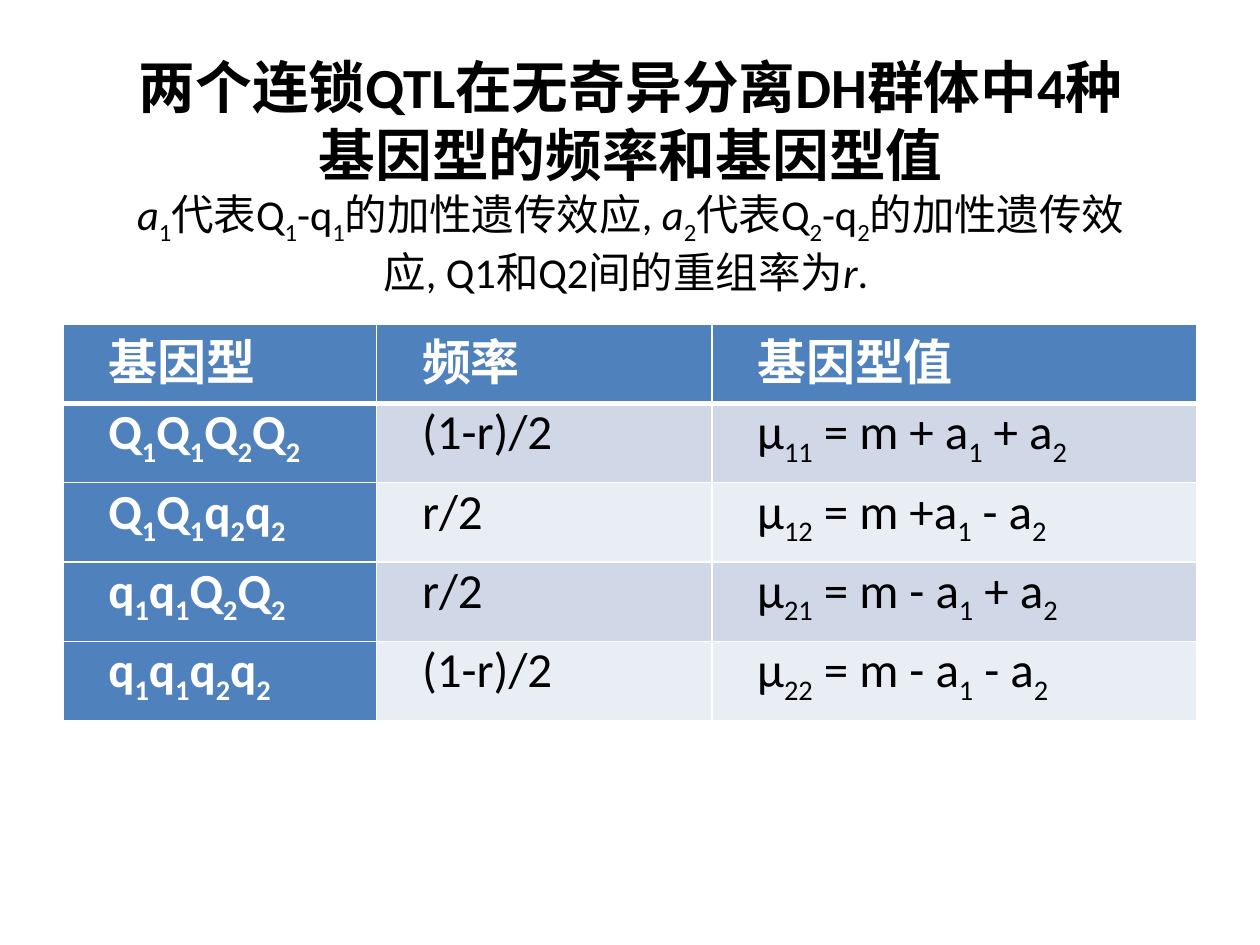
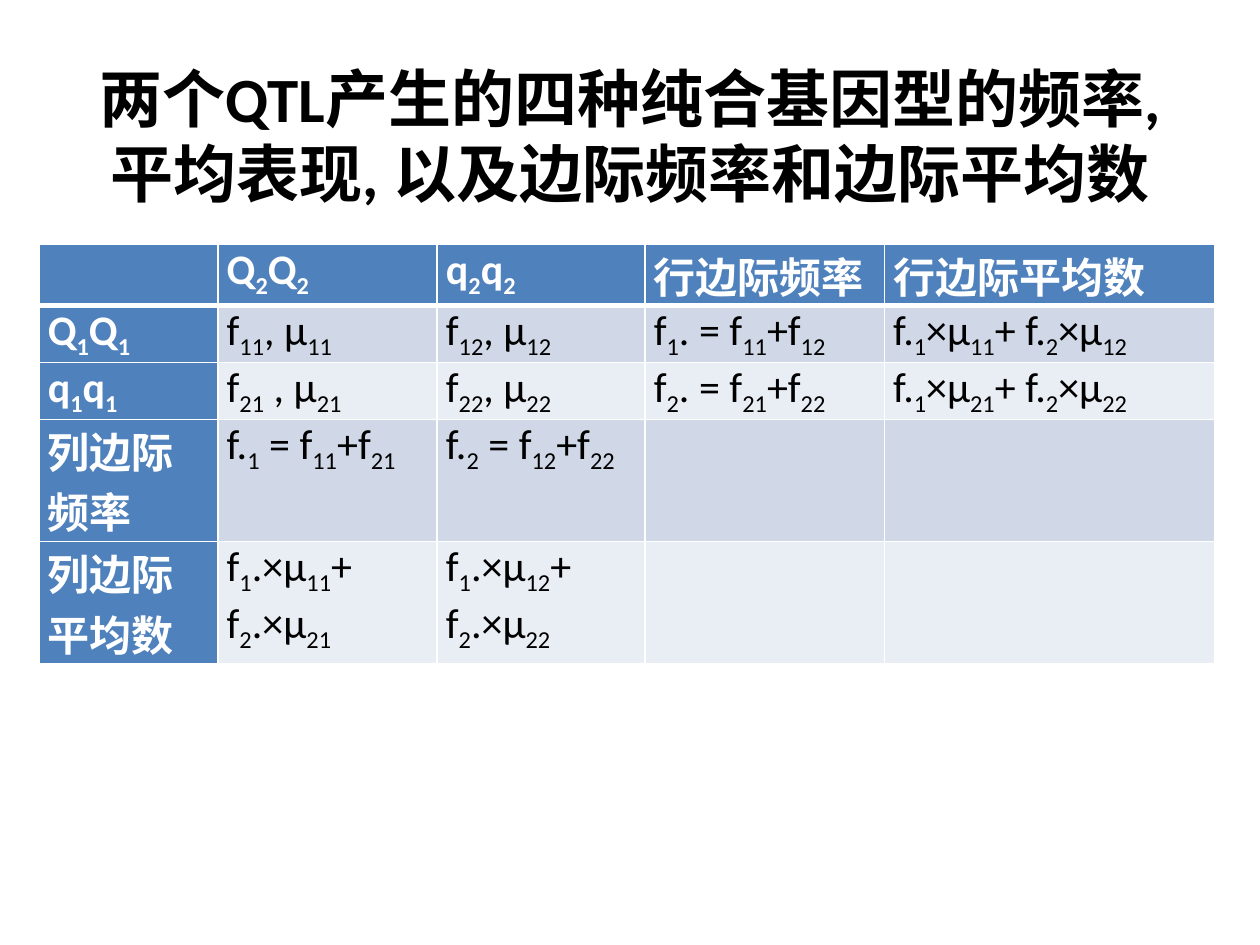
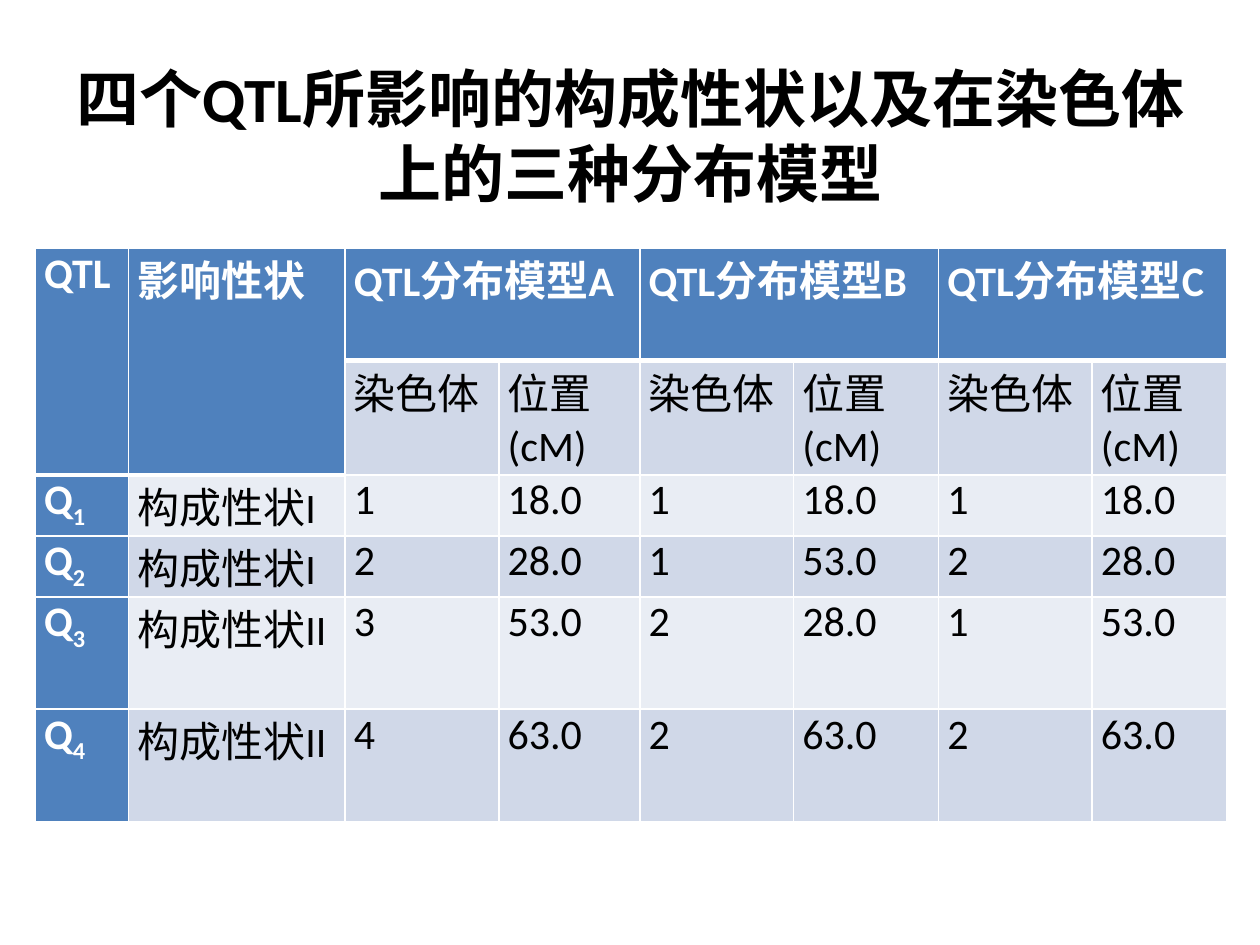
from dataclasses import dataclass

from lxml.etree import SubElement
from pptx import Presentation
from pptx.dml.color import RGBColor
from pptx.enum.text import MSO_ANCHOR, MSO_AUTO_SIZE, PP_ALIGN
from pptx.oxml.ns import qn
from pptx.util import Inches, Pt

FONT = "Calibri"
COLORS = {
    "text": "000000",
    "white": "FFFFFF",
    "head": "4F81BD",
    "odd": "D0D8E8",
    "even": "E9EDF4",
}


@dataclass
class TitleLine:
    text: str
    size: float = 36
    bold: bool = True


@dataclass
class TableSlide:
    title_box: tuple[float, float, float, float]
    title: list[TitleLine]
    table_at: tuple[float, float]
    cols: list[float]
    rows: list[float]
    cells: list[list[str]]
    size: float = 24
    indent: float = 0
    merges: tuple[tuple[int, int, int, int], ...] = ()  # row, column, last row, last column


# Text: ~ encloses a subscript, * encloses italics
def add_text(p, text: str, *, size: float, color: str = "text", bold: bool = False,
             east_asian: str = "") -> None:
    for i, part in enumerate(text.split("~")):
        for j, chunk in enumerate(part.split("*")):
            if not chunk:
                continue
            r = p.add_run()
            r.text = chunk
            r.font.size = Pt(size)
            r.font.bold = bold
            r.font.italic = j % 2 == 1
            r.font.color.rgb = RGBColor.from_string(COLORS[color])
            r.font.name = FONT
            r_pr = r.font._element
            if i % 2:
                r_pr.set("baseline", "-25000")
            if east_asian:
                SubElement(r_pr, qn("a:ea"), typeface=east_asian)


def add_title(s, box: tuple[float, ...], lines: list[TitleLine]) -> None:
    sp = s.shapes.title
    sp.left, sp.top, sp.width, sp.height = map(Inches, box)
    tf = sp.text_frame
    tf.word_wrap = True
    tf.auto_size = MSO_AUTO_SIZE.NONE
    tf.vertical_anchor = MSO_ANCHOR.MIDDLE
    for i, line in enumerate(lines):
        p = tf.add_paragraph() if i else tf.paragraphs[0]
        p.alignment = PP_ALIGN.CENTER
        add_text(p, line.text, size=line.size, bold=line.bold, east_asian=FONT)


def set_borders(cell, top: float, bottom: float) -> None:
    tc_pr = cell._tc.get_or_add_tcPr()
    for side, width in (("L", 1), ("R", 1), ("T", top), ("B", bottom)):
        ln = SubElement(tc_pr, qn(f"a:ln{side}"), w=str(Pt(width)))
        fill = SubElement(ln, qn("a:solidFill"))
        SubElement(fill, qn("a:srgbClr"), val=COLORS["white"])


def format_cell(cell, fill: str, top: float, bottom: float) -> None:
    cell.margin_left = cell.margin_right = Inches(0.07)
    cell.margin_top = cell.margin_bottom = 0
    cell.vertical_anchor = MSO_ANCHOR.TOP
    set_borders(cell, top, bottom)
    cell.fill.solid()
    cell.fill.fore_color.rgb = RGBColor.from_string(COLORS[fill])


def add_table(s, spec: TableSlide) -> None:
    left, top = map(Inches, spec.table_at)
    frame = s.shapes.add_table(len(spec.rows), len(spec.cols), left, top,
                               Inches(sum(spec.cols)), Inches(sum(spec.rows)))
    table = frame.table
    table.first_row = table.horz_banding = False
    for col, width in zip(table.columns, spec.cols):
        col.width = Inches(width)
    for row, height in zip(table.rows, spec.rows):
        row.height = Inches(height)

    # Header depth of each column
    depth = [1] * len(spec.cols)
    for r1, c1, r2, c2 in spec.merges:
        table.cell(r1, c1).merge(table.cell(r2, c2))
        depth[c1] = r2 + 1

    for i, values in enumerate(spec.cells):
        for j, text in enumerate(values):
            cell = table.cell(i, j)
            is_head = i < depth[j]
            strong = is_head or j == 0
            fill = "head" if strong else ("odd" if i % 2 else "even")
            format_cell(cell, fill, 3 if i == depth[j] else 1, 3 if is_head else 1)
            if text:
                p = cell.text_frame.paragraphs[0]
                if spec.indent:
                    p._p.get_or_add_pPr().set("indent", str(Inches(spec.indent)))
                add_text(p, text, size=spec.size, bold=strong,
                         color="white" if strong else "text")


# Content
SLIDES = [
    TableSlide(
        title_box=(0.91, 0.36, 8.19, 2.05),
        title=[
            TitleLine("两个连锁QTL在无奇异分离DH群体中4种基因型的频率和基因型值", 32.4),
            TitleLine("*a*~1~代表Q~1~-q~1~的加性遗传效应, *a*~2~代表Q~2~-q~2~的加性遗传效应, "
                      "Q1和Q2间的重组率为*r*. ", 24.3, False),
        ],
        table_at=(0.5, 2.57),
        cols=[2.49, 2.66, 3.85],
        rows=[0.63] * 5,
        size=28,
        indent=0.29,
        cells=[
            ["基因型", "频率", "基因型值"],
            ["Q~1~Q~1~Q~2~Q~2~", "(1-r)/2", "μ~11~ = m + a~1~ + a~2~"],
            ["Q~1~Q~1~q~2~q~2~", "r/2", "μ~12~ = m +a~1~ - a~2~"],
            ["q~1~q~1~Q~2~Q~2~", "r/2", "μ~21~ = m - a~1~ + a~2~"],
            ["q~1~q~1~q~2~q~2~", "(1-r)/2", "μ~22~ = m - a~1~ - a~2~"],
        ],
    ),
    TableSlide(
        title_box=(0.5, 0.44, 9, 1.26),
        title=[TitleLine("两个QTL产生的四种纯合基因型的频率, 平均表现, 以及边际频率和边际平均数")],
        table_at=(0.31, 1.94),
        cols=[1.42, 1.74, 1.65, 1.9, 2.62],
        rows=[0.48, 0.45, 0.45, 0.97, 0.97],
        cells=[
            ["", "Q~2~Q~2~", "q~2~q~2~", "行边际频率", "行边际平均数"],
            ["Q~1~Q~1~", "f~11~, μ~11~", "f~12~, μ~12~", "f~1~. = f~11~+f~12~",
             "f.~1~×μ~11~+ f.~2~×μ~12~"],
            ["q~1~q~1~", "f~21~ , μ~21~", "f~22~, μ~22~", "f~2~. = f~21~+f~22~",
             "f.~1~×μ~21~+ f.~2~×μ~22~"],
            ["列边际频率", "f.~1~ = f~11~+f~21~", "f.~2~ = f~12~+f~22~", "", ""],
            ["列边际平均数", "f~1~.×μ~11~+ f~2~.×μ~21~", "f~1~.×μ~12~+ f~2~.×μ~22~", "", ""],
        ],
    ),
    TableSlide(
        title_box=(0.28, 0.36, 9.45, 1.42),
        title=[TitleLine("四个QTL所影响的构成性状以及在染色体上的三种分布模型")],
        table_at=(0.28, 1.97),
        cols=[0.74, 1.72, 1.22, 1.12, 1.22, 1.15, 1.22, 1.07],
        rows=[0.88, 0.91, 0.48, 0.48, 0.89, 0.89],
        merges=((0, 0, 1, 0), (0, 1, 1, 1), (0, 2, 0, 3), (0, 4, 0, 5), (0, 6, 0, 7)),
        cells=[
            ["QTL", "影响性状", "QTL分布模型A", "", "QTL分布模型B", "", "QTL分布模型C", ""],
            ["", ""] + ["染色体", "位置 (cM)"] * 3,
            ["Q~1~", "构成性状I", "1", "18.0", "1", "18.0", "1", "18.0"],
            ["Q~2~", "构成性状I", "2", "28.0", "1", "53.0", "2", "28.0"],
            ["Q~3~", "构成性状II", "3", "53.0", "2", "28.0", "1", "53.0"],
            ["Q~4~", "构成性状II", "4", "63.0", "2", "63.0", "2", "63.0"],
        ],
    ),
]


def main() -> None:
    prs = Presentation()
    prs.slide_width, prs.slide_height = Inches(10), Inches(7.5)
    title_only = prs.slide_layouts[5]
    for spec in SLIDES:
        s = prs.slides.add_slide(title_only)
        add_title(s, spec.title_box, spec.title)
        add_table(s, spec)
    prs.save("out.pptx")


if __name__ == "__main__":
    main()
